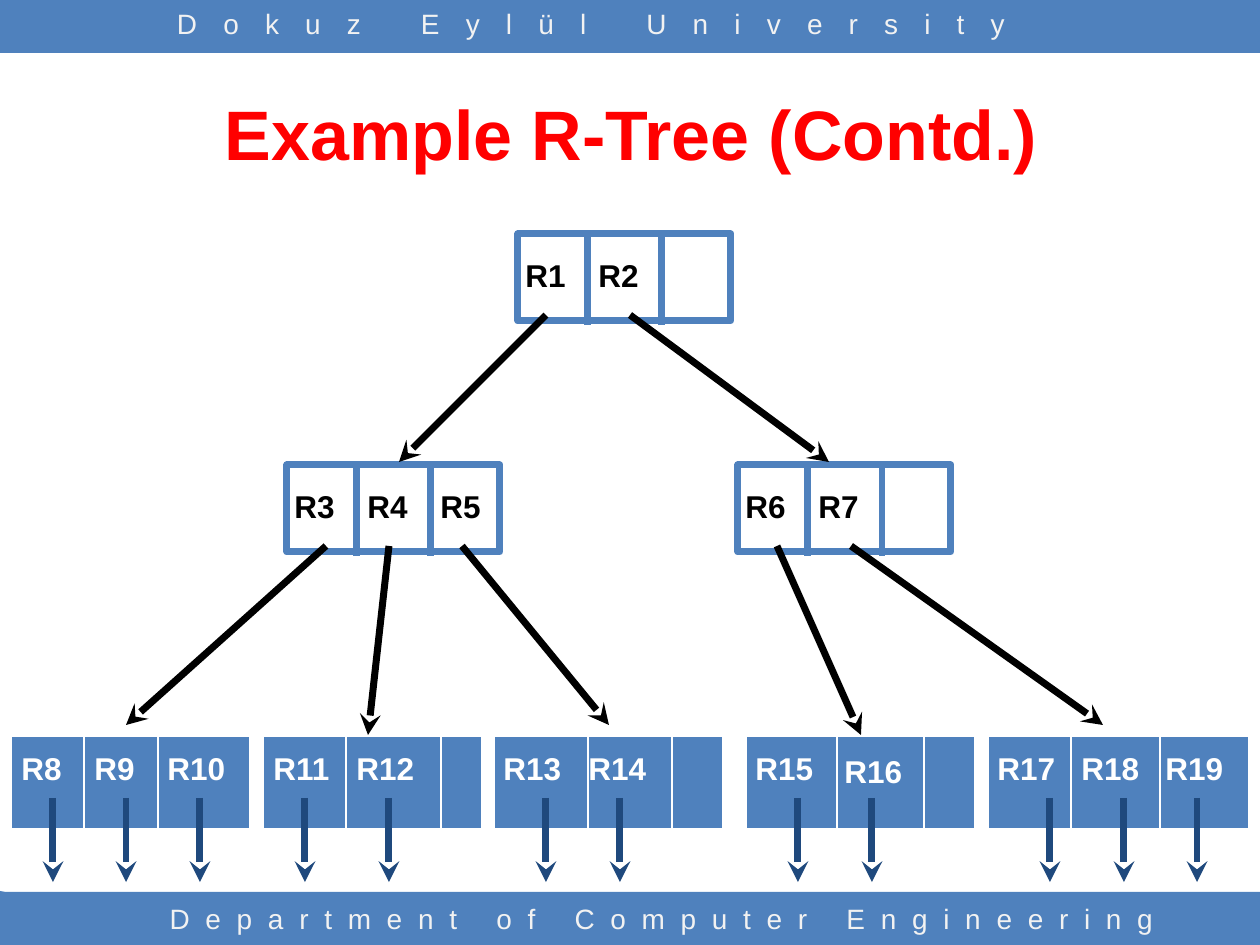
"""Build the R-tree example slide: a root, two inner nodes and five leaves."""
from lxml.etree import SubElement
from pptx import Presentation
from pptx.dml.color import RGBColor
from pptx.enum.shapes import MSO_CONNECTOR as Connector, MSO_SHAPE as Shape
from pptx.enum.text import MSO_ANCHOR as Anchor, MSO_AUTO_SIZE as AutoSize, PP_ALIGN as Align
from pptx.oxml.ns import qn
from pptx.util import Pt

SCALE = 914400 / 126
BLUE, NAVY, WHITE, BLACK = "4F81BD", "1F497D", "FFFFFF", "000000"


def emu(*lengths):
    return [round(length * SCALE) for length in lengths]


def color(hex_code):
    return RGBColor.from_string(hex_code)


deck = Presentation()
deck.slide_width, deck.slide_height = emu(1260, 945)
page = deck.slides.add_slide(deck.slide_layouts[6])

lines, texts = [], []

for top in (0, 892):
    bar = page.shapes.add_shape(Shape.RECTANGLE, *emu(0, top, 1260, 53))
    bar.shadow.inherit = False
    bar.fill.solid()
    bar.fill.fore_color.rgb = color(BLUE)
    bar.line.fill.background()

corners = [
    [(111, 893), (116, 893), (116, 945), (59, 945)],
    [(0, 891), (5, 892), (58, 945), (0, 945)],
]
for start, *rest in corners:
    builder = page.shapes.build_freeform(*start, scale=SCALE)
    builder.add_line_segments(rest, close=True)
    corner = builder.convert_to_shape()
    corner.shadow.inherit = False
    corner.fill.solid()
    corner.fill.fore_color.rgb = color(BLUE)
    corner.line.fill.background()

headings = [
    ("Department of Computer Engineering", (116, 895, 1092, 50), 16, "F2F2F2", False, 9),
    ("Dokuz Eylül University", (82, 0, 1019, 53), 16, "F2F2F2", False, 15),
    ("Example R-Tree (Contd.)", (64, 53, 1134, 160), 40, "FF0000", True, 0),
]
for words, place, size, ink, bold, spacing in headings:
    texts.append((words, place, size, ink, bold, spacing, True))

leaves = [
    (11, 239, (84, 158), [("R8", 9, 743), ("R9", 82, 743), ("R10", 155, 743)]),
    (263, 219, (346, 441), [("R11", 261, 743), ("R12", 344, 743)]),
    (494, 229, (588, 672), [("R13", 491, 743), ("R14", 576, 743)]),
    (746, 229, (837, 924), [("R15", 743, 743), ("R16", 832, 746)]),
    (988, 261, (1071, 1160), [("R17", 985, 743), ("R18", 1069, 743), ("R19", 1153, 743)]),
]
for left, width, dividers, labels in leaves:
    leaf = page.shapes.add_shape(Shape.RECTANGLE, *emu(left, 736, width, 93))
    leaf.shadow.inherit = False
    leaf.fill.solid()
    leaf.fill.fore_color.rgb = color(BLUE)
    leaf.line.color.rgb = color(WHITE)
    leaf.line.width = Pt(1)
    for x in dividers:
        lines.append(((x, 735, x, 829), WHITE, 1, False))
    for name, x, y in labels:
        texts.append((name, (x, y, 77 if len(name) == 2 else 98, 63), 18, WHITE, True, 0, False))

for x in (53, 126, 200, 305, 389, 546, 620, 798, 872, 1050, 1124, 1197):
    lines.append(((x, 798, x, 882), NAVY, 4, True))

inner_nodes = [
    (518, 234, ("R1", "R2")),
    (287, 465, ("R3", "R4", "R5")),
    (738, 465, ("R6", "R7")),
]
for left, top, names in inner_nodes:
    node = page.shapes.add_shape(Shape.RECTANGLE, *emu(left, top, 213, 87))
    node.shadow.inherit = False
    node.fill.background()
    node.line.color.rgb = color(BLUE)
    node.line.width = Pt(4)
    for x in (left + 70, left + 144):
        lines.append(((x, top - 3, x, top + 91), BLUE, 4, False))
    for column, name in enumerate(names):
        place = (left - 5 + 73 * column, top + 16, 77, 63)
        texts.append((name, place, 18, BLACK, True, 0, False))

links = [
    (546, 315, 399, 462), (630, 315, 829, 462),
    (326, 546, 126, 725), (389, 546, 368, 735), (462, 546, 609, 725),
    (777, 546, 861, 735), (851, 546, 1103, 725),
]
for ends in links:
    lines.append((ends, BLACK, 4, True))

for ends, ink, width, arrow in lines:
    line = page.shapes.add_connector(Connector.STRAIGHT, *emu(*ends))
    line.line.color.rgb = color(ink)
    line.line.width = Pt(width)
    if arrow:
        SubElement(line.line._get_or_add_ln(), qn("a:tailEnd"), type="stealth")
    SubElement(line._element.spPr, qn("a:effectLst"))

for words, place, size, ink, bold, spacing, heading in texts:
    box = page.shapes.add_textbox(*emu(*place))
    frame = box.text_frame
    frame.word_wrap = heading
    frame.auto_size = AutoSize.NONE if heading else AutoSize.SHAPE_TO_FIT_TEXT
    frame.vertical_anchor = Anchor.MIDDLE if size == 40 else Anchor.TOP
    para = frame.paragraphs[0]
    para.alignment = Align.CENTER if heading else Align.LEFT
    span = para.add_run()
    span.text = words
    for key, value in {"name": "Arial", "size": Pt(size), "bold": bold}.items():
        setattr(span.font, key, value)
    span.font.color.rgb = color(ink)
    if spacing:
        span._r.get_or_add_rPr().set("spc", str(spacing * 100))

deck.save("out.pptx")
